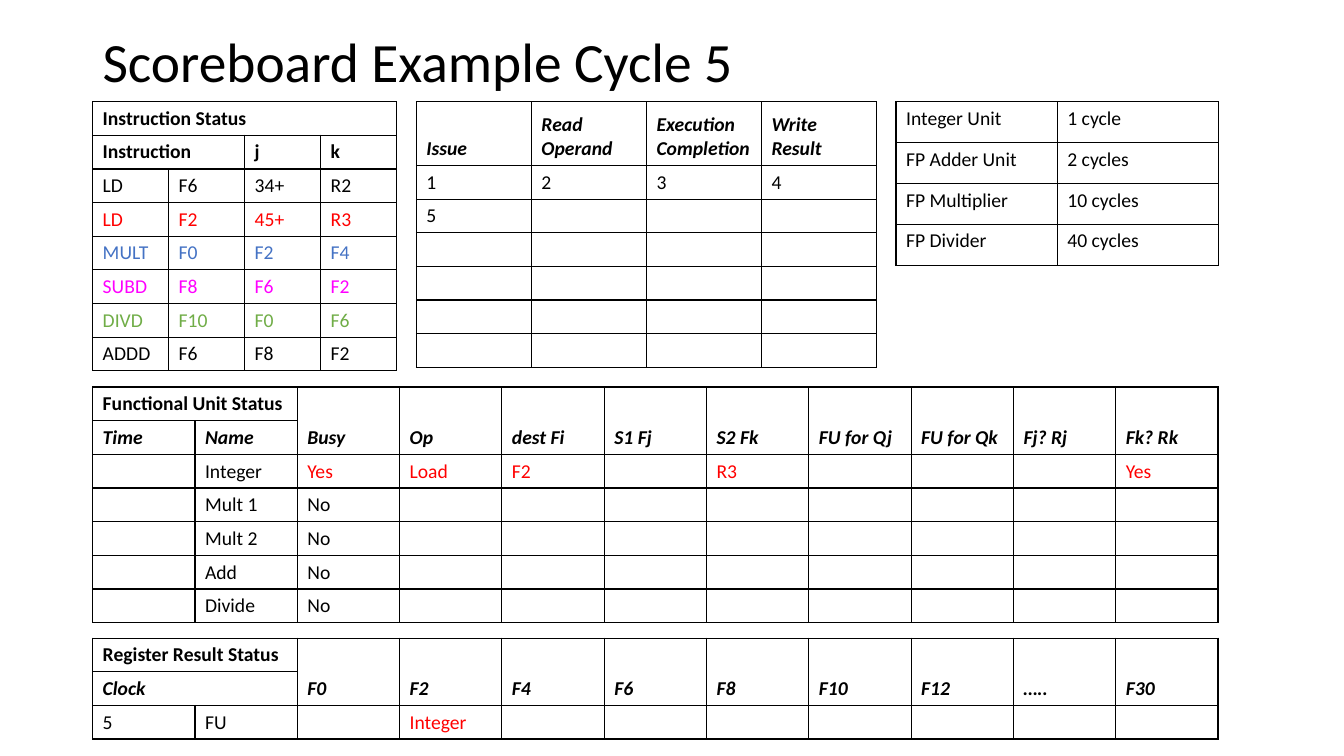
"""Build the scoreboard slide for cycle 5."""
from dataclasses import dataclass

from lxml import etree
from pptx import Presentation, util as u
from pptx.dml import color
from pptx.enum import text
from pptx.oxml import ns


@dataclass(frozen=True)
class Theme:
    """Hold the colours and type sizes."""
    font: str = "Calibri"
    title: float = 39.6
    body: float = 14
    line: float = 1
    black: str = "000000"
    red: str = "FF0000"
    blue: str = "4472C4"
    pink: str = "FF00FF"
    green: str = "70AD47"


THEME = Theme()
LEFT, TOP, ROW = 66.2, 72.6, 24
STYLES = {
    "plain": {},
    "bold": {"bold": True},
    "head": {"bold": True, "italic": True},
    **{name: {"tint": getattr(THEME, name)} for name in ("red", "blue", "pink", "green")},
}


def mark(style, *words):
    """Pair each word with a style name."""
    return [(word, style) for word in words]


def write(para, words, size, tint=THEME.black, **form):
    """Write one formatted run."""
    run = para.add_run()
    run.text = words
    form.update(name=THEME.font, size=u.Pt(size))
    for key, value in form.items():
        setattr(run.font, key, value)
    run.font.color.rgb = color.RGBColor.from_string(tint)


def edge(cell):
    """Draw all four borders of a cell."""
    props = cell._tc.get_or_add_tcPr()
    for side in "LRTB":
        line = etree.SubElement(props, ns.qn(f"a:ln{side}"), w=str(u.Pt(THEME.line)))
        fill = etree.SubElement(line, ns.qn("a:solidFill"))
        etree.SubElement(fill, ns.qn("a:srgbClr"), val=THEME.black)
    cell.fill.background()


def fill_cell(cell, words, style):
    """Set the text of a cell, or the type size of an empty one."""
    para = cell.text_frame.paragraphs[0]
    if words:
        write(para, words, THEME.body, **STYLES[style])
    else:
        etree.SubElement(para._p, ns.qn("a:endParaRPr"), sz=str(THEME.body * 100))
    if style == "head":
        cell.vertical_anchor = text.MSO_ANCHOR.BOTTOM


def add_grid(slide, left, top, width, cols, high, rows, spans=()):
    """Add a ruled table with equal columns and merged spans."""
    frame = slide.shapes.add_table(
        len(rows), cols, u.Pt(left), u.Pt(top), u.Pt(width * cols), u.Pt(sum(high)))
    grid = frame.table
    grid.first_row = grid.horz_banding = False
    for col in grid.columns:
        col.width = u.Pt(width)
    for r, row in enumerate(rows):
        grid.rows[r].height = u.Pt(high[r])
        for c in range(cols):
            item = row[c] if c < len(row) else ""
            words, style = (item, "plain") if isinstance(item, str) else item
            edge(grid.cell(r, c))
            fill_cell(grid.cell(r, c), words, style)
    for start, end in spans:
        grid.cell(*start).merge(grid.cell(*end))


def add_title(slide, words):
    """Add the slide title."""
    box = slide.shapes.add_textbox(u.Pt(LEFT), u.Pt(19.4), u.Pt(828), u.Pt(53.2))
    frame = box.text_frame
    frame.word_wrap = True
    frame.vertical_anchor = text.MSO_ANCHOR.MIDDLE
    frame.paragraphs[0].line_spacing = 0.9
    write(frame.paragraphs[0], words, THEME.title)


def add_status(slide, top, name, heads, labels, rows, spans=()):
    """Add a wide status table with a two-row header."""
    rows = [mark("bold", name, "") + mark("head", *heads), mark("head", *labels), *rows]
    tall = [((0, c), (1, c)) for c in range(2, 11)]
    add_grid(slide, LEFT, top, 73.1, 11, [ROW] * len(rows), rows,
             [((0, 0), (0, 1)), *tall, *spans])


def main():
    """Build and save the slide."""
    deck = Presentation()
    deck.slide_width, deck.slide_height = u.Pt(960), u.Pt(540)
    slide = deck.slides.add_slide(deck.slide_layouts[6])
    add_title(slide, "Scoreboard Example Cycle 5")

    code = [
        mark("bold", "Instruction Status"),
        mark("bold", "Instruction", "", "j", "k"),
        mark("plain", "LD", "F6", "34+", "R2"),
        mark("red", "LD", "F2", "45+", "R3"),
        mark("blue", "MULT", "F0", "F2", "F4"),
        mark("pink", "SUBD", "F8", "F6", "F2"),
        mark("green", "DIVD", "F10", "F0", "F6"),
        mark("plain", "ADDD", "F6", "F8", "F2"),
    ]
    add_grid(slide, LEFT, TOP, 54.3, 4, [ROW] * 8, code,
             [((0, 0), (0, 3)), ((1, 0), (1, 1))])

    steps = [mark("head", "Issue", "Read Operand", "Execution Completion", "Write Result"),
             ["1", "2", "3", "4"], ["5"], [], [], [], []]
    add_grid(slide, 297.4, TOP, 82.2, 4, [45.6] + [ROW] * 6, steps)

    red_yes = ("Yes", "red")
    units = [["", "Integer", red_yes, *mark("red", "Load", "F2"), "", ("R3", "red"),
              "", "", "", red_yes]]
    units += [["", name, "No"] for name in ("Mult 1", "Mult 2", "Add", "Divide")]
    add_status(slide, 276.5, "Functional Unit Status",
               ["Busy", "Op", "dest Fi", "S1 Fj", "S2 Fk", "FU for Qj", "FU for Qk",
                "Fj? Rj", "Fk? Rk"], ["Time", "Name"], units)

    add_status(slide, 455.8, "Register Result Status",
               ["F0", "F2", "F4", "F6", "F8", "F10", "F12", "…..", "F30"], ["Clock"],
               [["5", "FU", "", ("Integer", "red")]], [((1, 0), (1, 1))])

    times = [["Integer Unit", "1 cycle"], ["FP Adder Unit", "2 cycles"],
             ["FP Multiplier", "10 cycles"], ["FP Divider", "40 cycles"]]
    add_grid(slide, 640, TOP, 115.2, 2, [29.2] * 4, times)
    deck.save("out.pptx")


if __name__ == "__main__":
    main()
